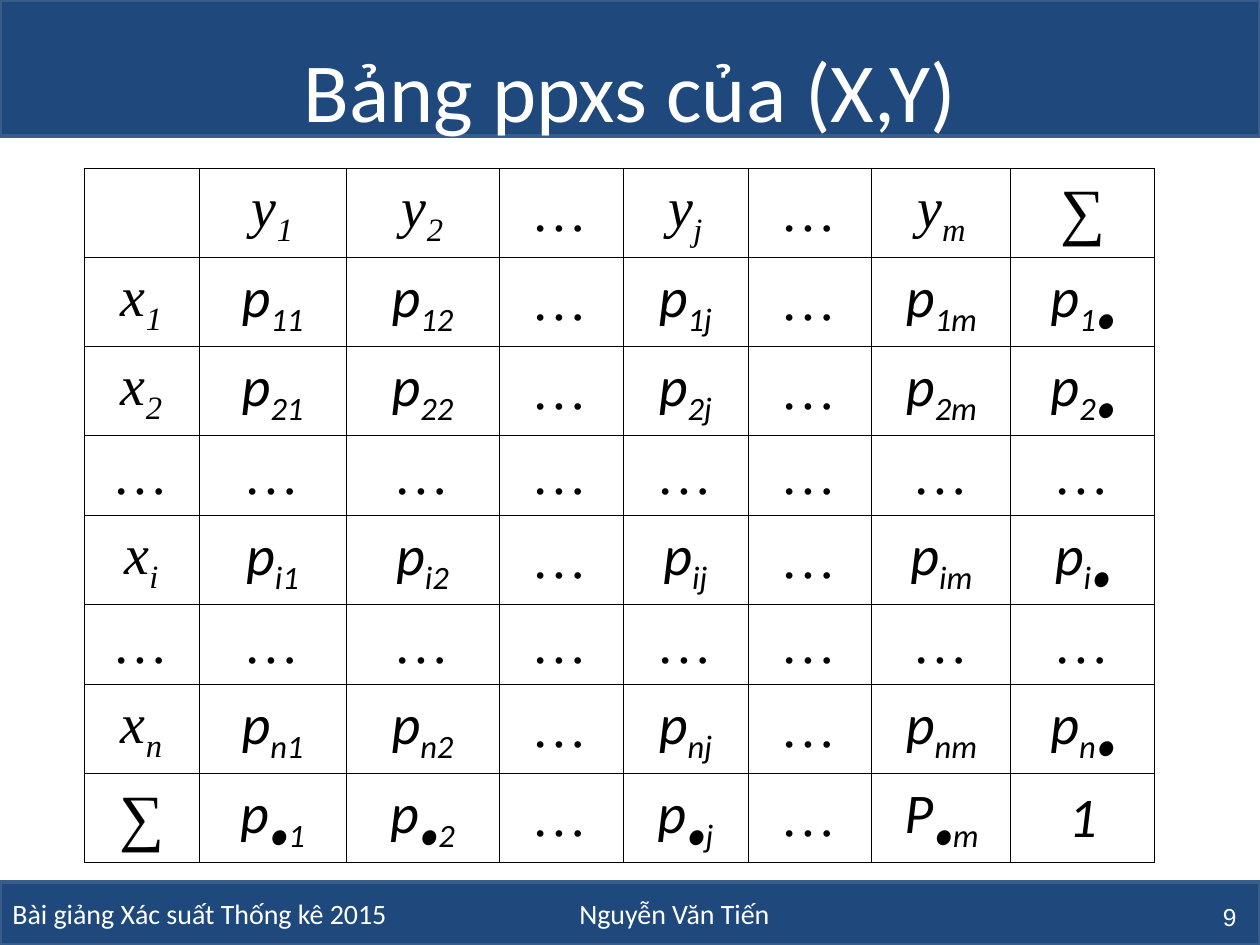
from lxml import etree
from pptx import Presentation
from pptx import util as u
from pptx.dml.color import RGBColor
from pptx.enum import shapes, text
from pptx.oxml.ns import qn

PX = 914400 // 126
SERIF, SANS = "Times New Roman", "Calibri"
WHITE, BLACK, NAVY, EDGE = "FFFFFF", "000000", "1F497D", "385D8A"


def rgb(hex_color):
    return RGBColor.from_string(hex_color)


def add_run(p, content, size, font, color, italic=False, subscript=False):
    r = p.add_run()
    r.text = content
    r.font.size, r.font.name, r.font.italic = u.Pt(size), font, italic
    r.font.color.rgb = rgb(color)
    if subscript:
        r._r.get_or_add_rPr().set("baseline", "-25000")


prs = Presentation()
prs.slide_width, prs.slide_height = u.Inches(10), u.Inches(7.5)
s = prs.slides.add_slide(prs.slide_layouts[5])

# Title
title = s.shapes.title
title.left, title.top, title.width, title.height = [
    v * PX for v in (63, 10, 1134, 158)]
title.text_frame.vertical_anchor = text.MSO_ANCHOR.MIDDLE
p = title.text_frame.paragraphs[0]
p.alignment = text.PP_ALIGN.CENTER
add_run(p, "Bảng ppxs của (X,Y)", 48, SANS, WHITE)

# Header and footer bands, behind the title
for top, height, label in (
        (0, 136, ""),
        (882, 63, "Bài giảng Xác suất Thống kê 2015\t\t\t\tNguyễn Văn Tiến")):
    band = s.shapes.add_shape(shapes.MSO_SHAPE.RECTANGLE,
                              0, top * PX, 1260 * PX, height * PX)
    band.shadow.inherit = False
    band.fill.solid()
    band.fill.fore_color.rgb = rgb(NAVY)
    band.line.color.rgb = rgb(EDGE)
    band.line.width = u.Pt(2)
    if label:
        band.text_frame.vertical_anchor = text.MSO_ANCHOR.MIDDLE
        p = band.text_frame.paragraphs[0]
        p.alignment = text.PP_ALIGN.LEFT
        add_run(p, label, 16, SANS, WHITE)
    title.element.addprevious(band.element)

# Slide number
number = s.shapes.add_textbox(1144 * PX, 892 * PX, 105 * PX, 50 * PX)
tf = number.text_frame
tf.word_wrap = True
tf.vertical_anchor = text.MSO_ANCHOR.MIDDLE
p = tf.paragraphs[0]
p.alignment = text.PP_ALIGN.RIGHT
add_run(p, "9", 14, "Arial", WHITE)

# Joint distribution: each cell is (symbol, subscript)
x_index = ["1", "2", "…", "i", "…", "n"]
y_index = ["1", "2", "…", "j", "…", "m"]
DOTS, SUM = ("…", ""), ("∑", "")

grid = [[("", "")] + [DOTS if j == "…" else ("y", j) for j in y_index] + [SUM]]
for i in x_index:
    if i == "…":
        grid.append([DOTS] * 8)
    else:
        grid.append([("x", i)]
                    + [DOTS if j == "…" else ("p", i + j) for j in y_index]
                    + [("p", i + "●")])
grid.append([SUM]
            + [DOTS if j == "…" else ("P" if j == "m" else "p", "●" + j)
               for j in y_index]
            + [("1", "")])

col_widths = [115, 147, 153, 124, 125, 124, 139, 144]
row_heights = [84, 89, 89, 75, 89, 75, 89, 89]
frame = s.shapes.add_table(8, 8, 84 * PX, 168 * PX,
                           sum(col_widths) * PX, sum(row_heights) * PX)
table = frame.table
table.first_row = table.horz_banding = False
for col, width in zip(table.columns, col_widths):
    col.width = width * PX
for row, height in zip(table.rows, row_heights):
    row.height = height * PX

for row, entries in zip(table.rows, grid):
    for cell, (symbol, index) in zip(row.cells, entries):
        tcPr = cell._tc.get_or_add_tcPr()
        for side in ("lnL", "lnR", "lnT", "lnB"):
            ln = etree.SubElement(tcPr, qn("a:" + side), w=str(u.Pt(0.45)))
            fill = etree.SubElement(ln, qn("a:solidFill"))
            etree.SubElement(fill, qn("a:srgbClr"), val=BLACK)
        cell.fill.background()
        cell.vertical_anchor = text.MSO_ANCHOR.MIDDLE
        p = cell.text_frame.paragraphs[0]
        p.alignment = text.PP_ALIGN.CENTER
        font = SANS if symbol in ("p", "P", "1") else SERIF
        size = 36 if symbol == "∑" else 32
        if symbol:
            add_run(p, symbol, size, font, BLACK, italic=True)
        if index:
            add_run(p, index, size, font, BLACK, italic=True, subscript=True)

prs.save("out.pptx")
